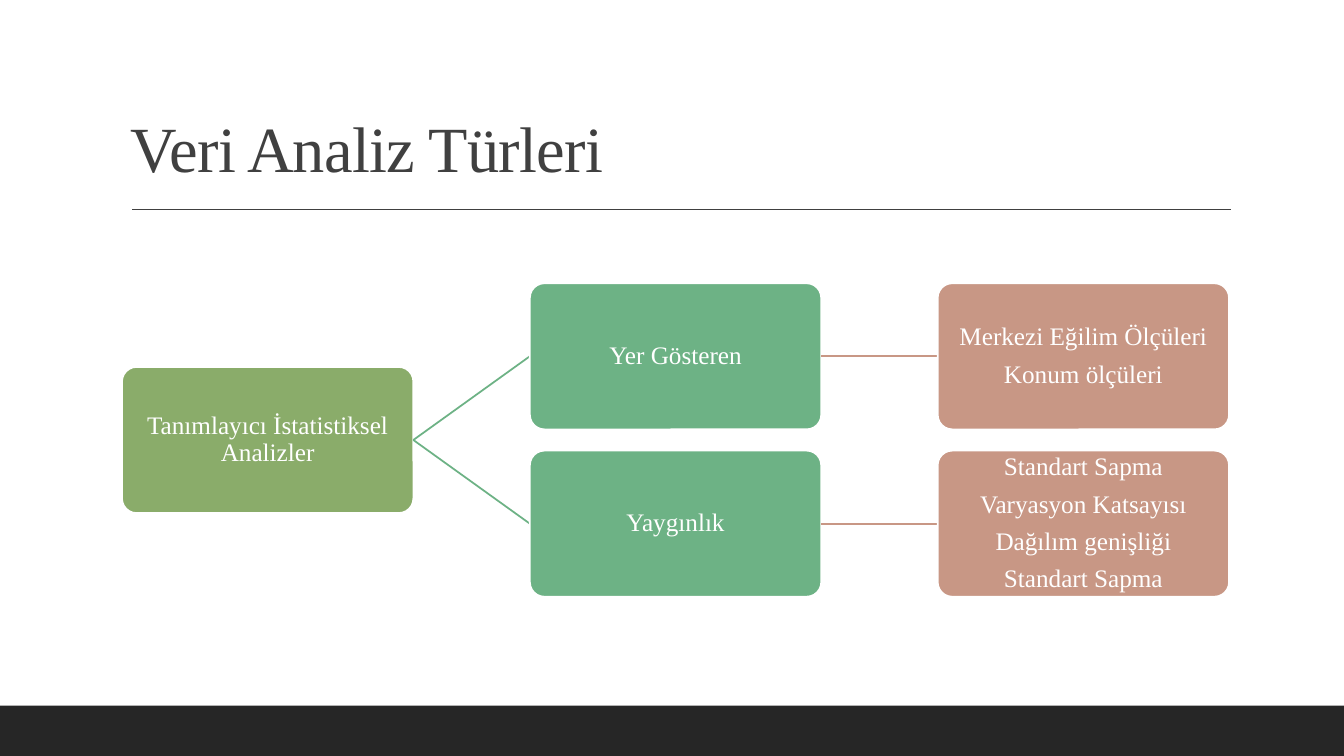
from lxml.etree import SubElement
from pptx import Presentation
from pptx.dml.color import RGBColor
from pptx.enum.shapes import MSO_CONNECTOR, MSO_SHAPE
from pptx.enum.text import MSO_ANCHOR, PP_ALIGN
from pptx.oxml.ns import qn
from pptx.util import Inches, Pt

C = {"white": "FFFFFF", "dark": "404040", "footer": "262626",
     "olive": "8AAC6A", "green": "6DB285", "clay": "C89785"}
W, H = 13.33, 7.5
LEFT, TOP = 1.21, 2.81
COL, ROW = 4.045, 1.66
BOX_W, BOX_H = 2.89, 1.45


def put_text(sp, text, size, color, anchor, align=PP_ALIGN.LEFT, inset=0.1, after=0, spc=0):
    tf = sp.text_frame
    tf.word_wrap = True
    tf.vertical_anchor = anchor
    tf.margin_left = tf.margin_right = Inches(inset)
    tf.margin_top = tf.margin_bottom = Inches(inset / 2 if inset > 0.05 else inset)
    for i, line in enumerate(text.split("\n")):
        p = tf.add_paragraph() if i else tf.paragraphs[0]
        p.alignment = align
        p.line_spacing = 0.9
        p.space_after = Pt(after)
        r = p.add_run()
        r.text = line
        r.font.name = "Times New Roman"
        r.font.size = Pt(size)
        r.font.color.rgb = RGBColor.from_string(C[color])
        if spc:
            r.font._element.set("spc", str(spc))


def add_line(x1, y1, x2, y2, color, width):
    cx = s.shapes.add_connector(MSO_CONNECTOR.STRAIGHT, Inches(x1), Inches(y1), Inches(x2), Inches(y2))
    cx.line.color.rgb = RGBColor.from_string(C[color])
    cx.line.width = Pt(width)
    SubElement(cx._element.spPr, qn("a:effectLst"))


prs = Presentation()
prs.slide_width, prs.slide_height = Inches(W), Inches(H)
s = prs.slides.add_slide(prs.slide_layouts[6])

footer = s.shapes.add_shape(MSO_SHAPE.RECTANGLE, 0, Inches(H - 0.5), Inches(W), Inches(0.5))
footer.shadow.inherit = False
footer.fill.solid()
footer.fill.fore_color.rgb = RGBColor.from_string(C["footer"])
footer.line.fill.background()

add_line(1.31, 2.08, 12.21, 2.08, "dark", 1)
title = s.shapes.add_textbox(Inches(1.2), Inches(0.31), Inches(11), Inches(1.59))
put_text(title, "Veri Analiz Türleri", 46, "dark", MSO_ANCHOR.BOTTOM, spc=-50)

nodes = [
    (0, 0.5, None, "olive", "Tanımlayıcı İstatistiksel Analizler"),
    (1, 0, 0.5, "green", "Yer Gösteren"),
    (2, 0, 0, "clay", "Merkezi Eğilim Ölçüleri\nKonum ölçüleri"),
    (1, 1, 0.5, "green", "Yaygınlık"),
    (2, 1, 1, "clay", "Standart Sapma\nVaryasyon Katsayısı\nDağılım genişliği\nStandart Sapma"),
]
for col, row, parent_row, color, text in nodes:
    x, y = LEFT + col * COL, TOP + row * ROW
    if parent_row is not None:
        mid = TOP + BOX_H / 2
        add_line(x - COL + BOX_W, mid + parent_row * ROW, x, mid + row * ROW, color, 1.25)
    sp = s.shapes.add_shape(MSO_SHAPE.ROUNDED_RECTANGLE, Inches(x), Inches(y), Inches(BOX_W), Inches(BOX_H))
    sp.adjustments[0] = 0.1
    sp.shadow.inherit = False
    sp.fill.solid()
    sp.fill.fore_color.rgb = RGBColor.from_string(C[color])
    sp.line.color.rgb = RGBColor.from_string(C["white"])
    sp.line.width = Pt(1.25)
    put_text(sp, text, 18, "white", MSO_ANCHOR.MIDDLE, align=PP_ALIGN.CENTER, inset=0.01, after=7.2)

prs.save("out.pptx")
